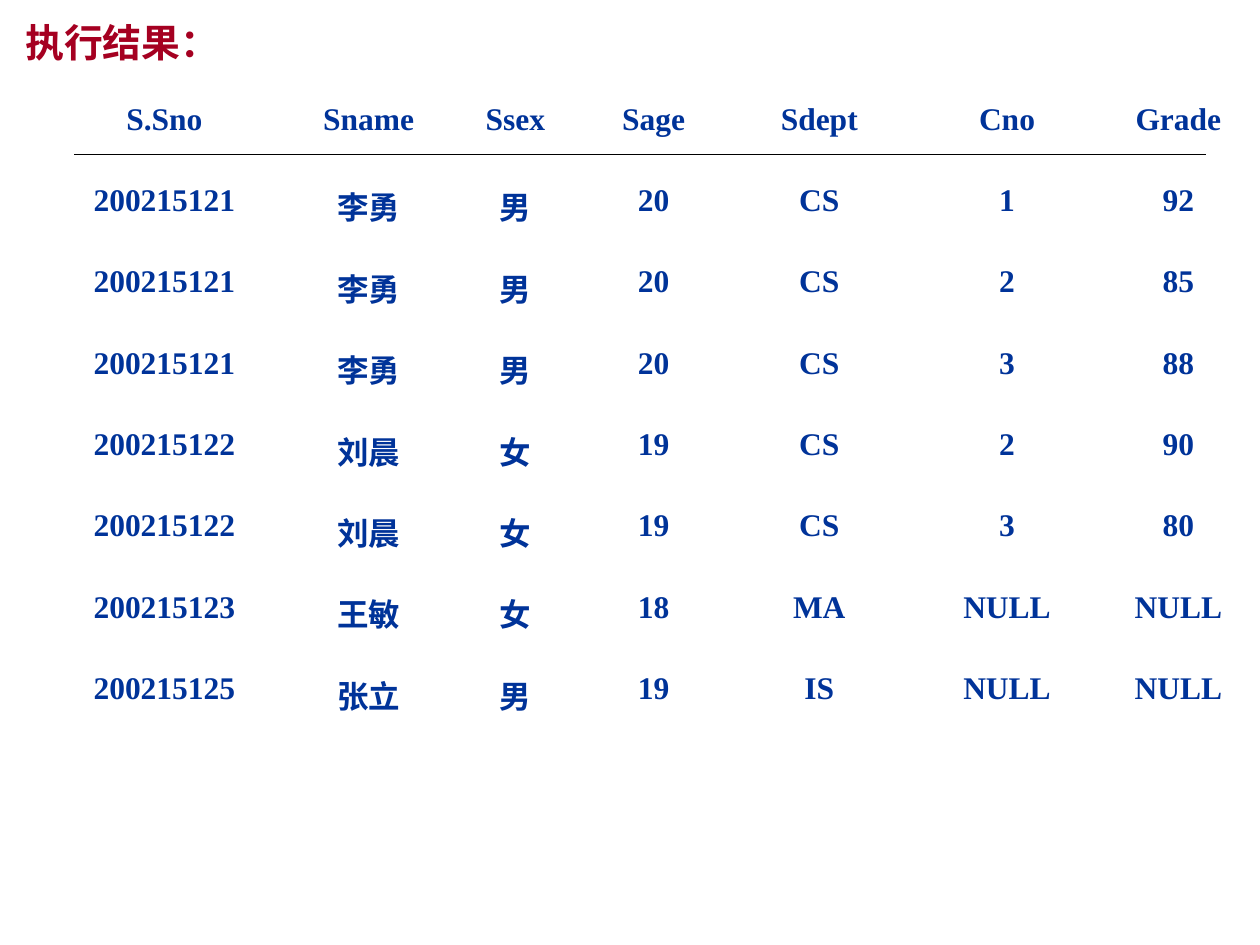
import pptx
import pptx.dml.color
import pptx.enum.shapes
import pptx.enum.text
import pptx.oxml.ns
import pptx.util
from lxml import etree
from pptx.util import Cm

HEADING = "执行结果："
COLUMNS = [  # heading, width in cm
    ("S.Sno", 5.21), ("Sname", 3.02), ("Ssex", 2.9), ("Sage", 2.67),
    ("Sdept", 4.01), ("Cno", 3.56), ("Grade", 3.35),
]
RECORDS = [
    ("200215121", "李勇", "男", "20", "CS", "1", "92"),
    ("200215121", "李勇", "男", "20", "CS", "2", "85"),
    ("200215121", "李勇", "男", "20", "CS", "3", "88"),
    ("200215122", "刘晨", "女", "19", "CS", "2", "90"),
    ("200215122", "刘晨", "女", "19", "CS", "3", "80"),
    ("200215123", "王敏", "女", "18", "MA", "NULL", "NULL"),
    ("200215125", "张立", "男", "19", "IS", "NULL", "NULL"),
]
THEME = {
    "heading": dict(size=22.2, font="Cabin", color="A50021"),
    "cell": dict(size=18, font="Times New Roman", color="003399"),
    "rule": dict(width=0.75, color="000000"),
}
ROW_HEIGHT = 1.64
ALIGN = pptx.enum.text.PP_ALIGN
ANCHOR = pptx.enum.text.MSO_ANCHOR


def rgb(value):
    return pptx.dml.color.RGBColor.from_string(value)


def write(tf, text, *, size, font, color, align, bold=True):
    p = tf.paragraphs[0]
    p.alignment = align
    p.space_before = pptx.util.Pt(0)
    r = p.add_run()
    r.text = text
    r.font.size = pptx.util.Pt(size)
    r.font.name = font
    r.font.bold = bold
    r.font.color.rgb = rgb(color)


def add_heading(s):
    sp = s.shapes.title
    sp.left, sp.top, sp.width, sp.height = Cm(0), Cm(0), Cm(12.47), Cm(1.7)
    tf = sp.text_frame
    tf.auto_size = pptx.enum.text.MSO_AUTO_SIZE.NONE
    tf.word_wrap = True
    tf.vertical_anchor = ANCHOR.TOP
    tf.margin_left = tf.margin_right = Cm(0.51)
    tf.margin_top = tf.margin_bottom = Cm(0.38)
    write(tf, HEADING, align=ALIGN.JUSTIFY, **THEME["heading"])


def add_result_table(s):
    rows = [[name for name, _ in COLUMNS], *RECORDS]
    widths = [width for _, width in COLUMNS]
    table = s.shapes.add_table(
        len(rows), len(widths), Cm(0.71), Cm(1.93),
        Cm(sum(widths)), Cm(ROW_HEIGHT * len(rows))).table
    table.first_row = table.horz_banding = False
    for column, width in zip(table.columns, widths):
        column.width = Cm(width)
    for row, values in zip(table.rows, rows):
        row.height = Cm(ROW_HEIGHT)
        for cell, value in zip(row.cells, values):
            cell.fill.background()
            cell.vertical_anchor = ANCHOR.TOP
            write(cell.text_frame, value, align=ALIGN.CENTER, **THEME["cell"])


def add_header_rule(s):
    line = s.shapes.add_connector(
        pptx.enum.shapes.MSO_CONNECTOR.STRAIGHT,
        Cm(1.5), Cm(3.12), Cm(24.31), Cm(3.12))
    line.line.width = pptx.util.Pt(THEME["rule"]["width"])
    line.line.color.rgb = rgb(THEME["rule"]["color"])
    etree.SubElement(line._element.spPr, pptx.oxml.ns.qn("a:effectLst"))


def main():
    prs = pptx.Presentation()
    prs.slide_width, prs.slide_height = Cm(25.4), Cm(19.05)
    s = prs.slides.add_slide(prs.slide_layouts.get_by_name("Title Only"))
    add_heading(s)
    add_result_table(s)
    add_header_rule(s)
    prs.save("out.pptx")


if __name__ == "__main__":
    main()
